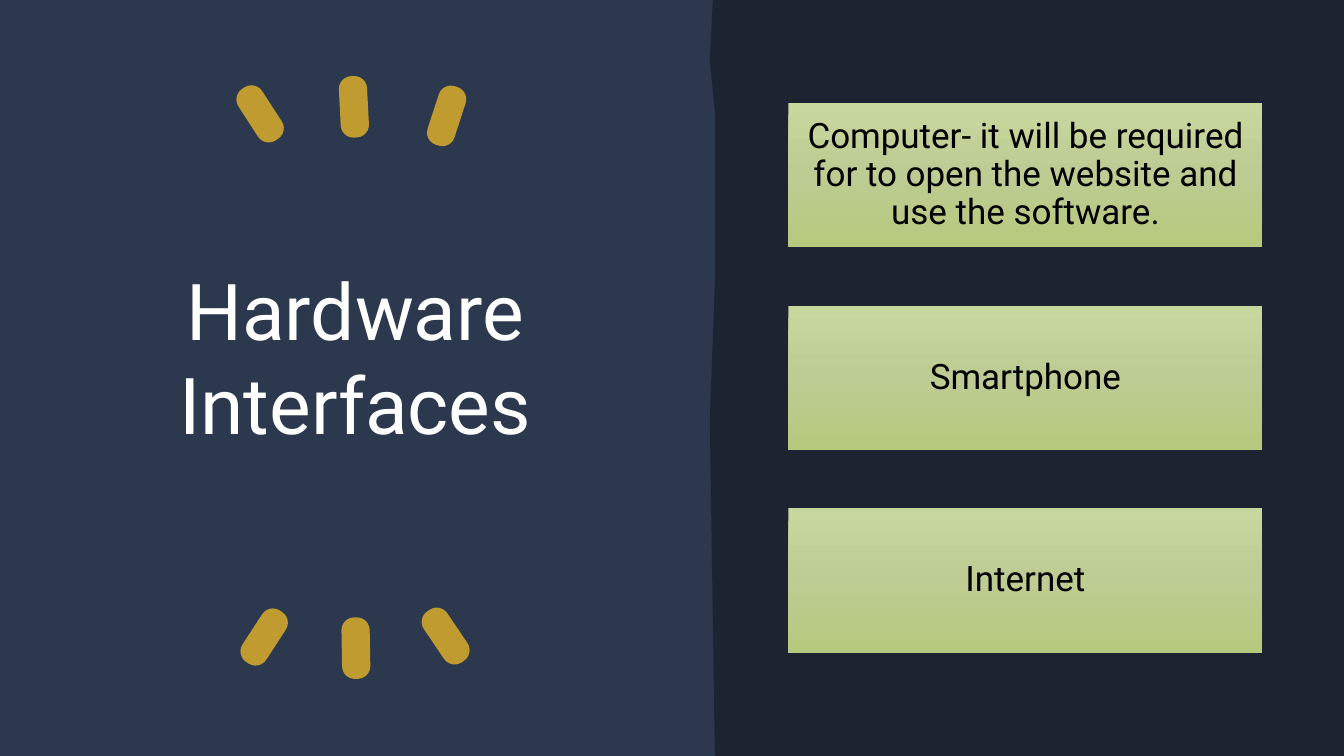
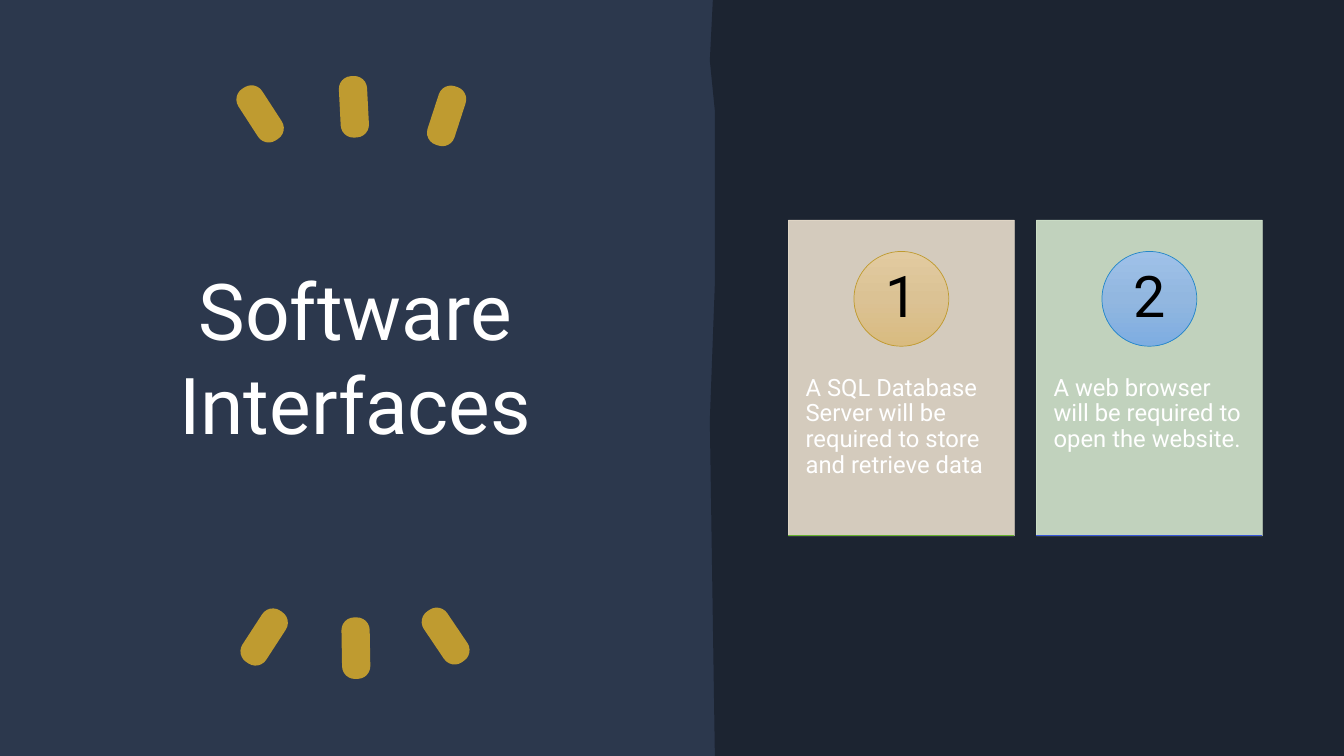
from copy import deepcopy

from lxml.etree import SubElement
from pptx import Presentation
from pptx.dml.color import RGBColor
from pptx.enum.shapes import MSO_CONNECTOR, MSO_SHAPE
from pptx.enum.text import MSO_ANCHOR, PP_ALIGN
from pptx.oxml.ns import qn
from pptx.util import Inches, Pt

SLIDE_WIDTH, SLIDE_HEIGHT = 13.33, 7.5
FONT = "Roboto"
NAVY, DARK, GOLD, WHITE, BLACK = "2C384D", "1C2431", "BF9B30", "FFFFFF", "000000"
GREEN_GRADIENT = ("C8D79E", "BDCC92", "B6C97D")

CONTENT_LEFT, CONTENT_WIDTH = 7.82, 4.7
BOX_HEIGHT, BOX_GAP = 1.43, 0.58
CARD_HEIGHT, CARD_GAP = 3.13, 0.22
BADGE_SIZE, BADGE_OFFSET = 0.94, 0.31

HARDWARE_TITLE = "Hardware Interfaces"
HARDWARE = [
    "Computer- it will be required for to open the website and use the software.",
    "Smartphone",
    "Internet",
]
SOFTWARE_TITLE = "Software Interfaces"
SOFTWARE = [
    {"text": "A SQL Database Server will be required to store and retrieve data",
     "fill": "E8DECD", "badge": ("E2CBA1", "DBC294", "D9BB80"),
     "outline": "BF9B30", "base": "65B32D"},
    {"text": "A web browser will be required to open the website.",
     "fill": "D3E5CD", "badge": ("9FC1E8", "92B7E0", "7EADE1"),
     "outline": "2588C7", "base": "3756D9"},
]

# Uneven left edge of the dark panel, from top to bottom.
PANEL_EDGE = [(7.07, 0), (7.04, 0.6), (7.09, 1.1), (7.09, 2.81), (7.04, 4.17),
              (7.09, SLIDE_HEIGHT)]
STROKE_WIDTH, STROKE_LENGTH = 0.28, 0.61
# Centre x, centre y and rotation of each brush stroke.
BRUSH_STROKES = [(2.58, 1.13, -33), (3.51, 1.06, -3), (4.43, 1.15, 18),
                 (2.62, 6.32, 33), (3.53, 6.43, -1), (4.42, 6.31, -34)]


def rgb(value):
    return RGBColor.from_string(value)


def style_shape(shape, fill, outline=None, opacity=None):
    """Fill with one colour or a vertical gradient of three; opacity is in percent."""
    shape.shadow.inherit = False
    if isinstance(fill, str):
        shape.fill.solid()
        shape.fill.fore_color.rgb = rgb(fill)
    else:
        shape.fill.gradient()
        shape.fill.gradient_angle = 270
        stop_list = shape._element.spPr.find(".//" + qn("a:gsLst"))
        stop_list.insert(1, deepcopy(stop_list[0]))
        for stop, colour, position in zip(shape.fill.gradient_stops, fill, (0, 0.5, 1)):
            stop.color.rgb = rgb(colour)
            stop.position = position
    if outline:
        shape.line.color.rgb = rgb(outline)
        shape.line.width = Pt(0.5)
    else:
        shape.line.fill.background()
    if opacity:
        for colour in shape._element.spPr.iter(qn("a:srgbClr")):
            SubElement(colour, qn("a:alpha"), val=str(opacity * 1000))


def write_text(shape, text, size, colour, align=PP_ALIGN.CENTER, anchor=MSO_ANCHOR.MIDDLE,
               insets=(0, 0, 0, 0), spacing=0.9):
    """Insets are left, top, right and bottom in inches."""
    frame = shape.text_frame
    frame.word_wrap = True
    frame.vertical_anchor = anchor
    (frame.margin_left, frame.margin_top,
     frame.margin_right, frame.margin_bottom) = map(Inches, insets)
    paragraph = frame.paragraphs[0]
    paragraph.alignment = align
    paragraph.line_spacing = spacing
    run = paragraph.add_run()
    run.text = text
    run.font.name = FONT
    run.font.size = Pt(size)
    run.font.color.rgb = rgb(colour)


def add_preset(slide, preset, left, top, width, height, **style):
    shape = slide.shapes.add_shape(preset, *map(Inches, (left, top, width, height)))
    style_shape(shape, **style)
    return shape


def add_brush_strokes(slide):
    for x, y, rotation in BRUSH_STROKES:
        stroke = add_preset(slide, MSO_SHAPE.ROUNDED_RECTANGLE, x - STROKE_WIDTH / 2,
                            y - STROKE_LENGTH / 2, STROKE_WIDTH, STROKE_LENGTH, fill=GOLD)
        stroke.adjustments[0] = 0.45
        stroke.rotation = rotation


def add_dark_panel(slide):
    corners = [(SLIDE_WIDTH, SLIDE_HEIGHT), (SLIDE_WIDTH, 0)]
    start, *rest = [(Inches(x), Inches(y)) for x, y in PANEL_EDGE + corners]
    builder = slide.shapes.build_freeform(*start)
    builder.add_line_segments(rest, close=True)
    style_shape(builder.convert_to_shape(), DARK)


def add_split_slide(presentation, title):
    """Add a slide with the title and brush strokes left of the dark panel."""
    slide = presentation.slides.add_slide(presentation.slide_layouts[6])
    slide.background.fill.solid()
    slide.background.fill.fore_color.rgb = rgb(NAVY)
    title_box = slide.shapes.add_textbox(*map(Inches, (0.79, 1.63, 5.47, 3.81)))
    write_text(title_box, title, 56, WHITE, spacing=1.0)
    add_brush_strokes(slide)
    add_dark_panel(slide)
    return slide


def add_boxes(slide, labels):
    step = BOX_HEIGHT + BOX_GAP
    first_top = (SLIDE_HEIGHT - len(labels) * step + BOX_GAP) / 2
    for row, label in enumerate(labels):
        box = add_preset(slide, MSO_SHAPE.RECTANGLE, CONTENT_LEFT, first_top + row * step,
                         CONTENT_WIDTH, BOX_HEIGHT, fill=GREEN_GRADIENT)
        write_text(box, label, 25, BLACK, insets=(0.02,) * 4)


def add_cards(slide, cards):
    width = (CONTENT_WIDTH + CARD_GAP) / len(cards) - CARD_GAP
    top = (SLIDE_HEIGHT - CARD_HEIGHT) / 2
    bottom = top + CARD_HEIGHT
    for column, card in enumerate(cards):
        left = CONTENT_LEFT + column * (width + CARD_GAP)
        panel = add_preset(slide, MSO_SHAPE.RECTANGLE, left, top, width, CARD_HEIGHT,
                           fill=card["fill"], outline=card["fill"], opacity=90)
        write_text(panel, card["text"], 17, WHITE, align=PP_ALIGN.LEFT, anchor=MSO_ANCHOR.TOP,
                   insets=(0.17, 1.54, 0.17, 0.43))
        badge = add_preset(slide, MSO_SHAPE.OVAL, left + (width - BADGE_SIZE) / 2,
                           top + BADGE_OFFSET, BADGE_SIZE, BADGE_SIZE,
                           fill=card["badge"], outline=card["outline"])
        write_text(badge, str(column + 1), 41, BLACK)
        base = slide.shapes.add_connector(
            MSO_CONNECTOR.STRAIGHT, *map(Inches, (left, bottom, left + width, bottom)))
        base.line.color.rgb = rgb(card["base"])
        base.line.width = Pt(0.5)
        SubElement(base._element.spPr, qn("a:effectLst"))


def main():
    presentation = Presentation()
    presentation.slide_width = Inches(SLIDE_WIDTH)
    presentation.slide_height = Inches(SLIDE_HEIGHT)
    add_boxes(add_split_slide(presentation, HARDWARE_TITLE), HARDWARE)
    add_cards(add_split_slide(presentation, SOFTWARE_TITLE), SOFTWARE)
    presentation.save("out.pptx")


if __name__ == "__main__":
    main()
